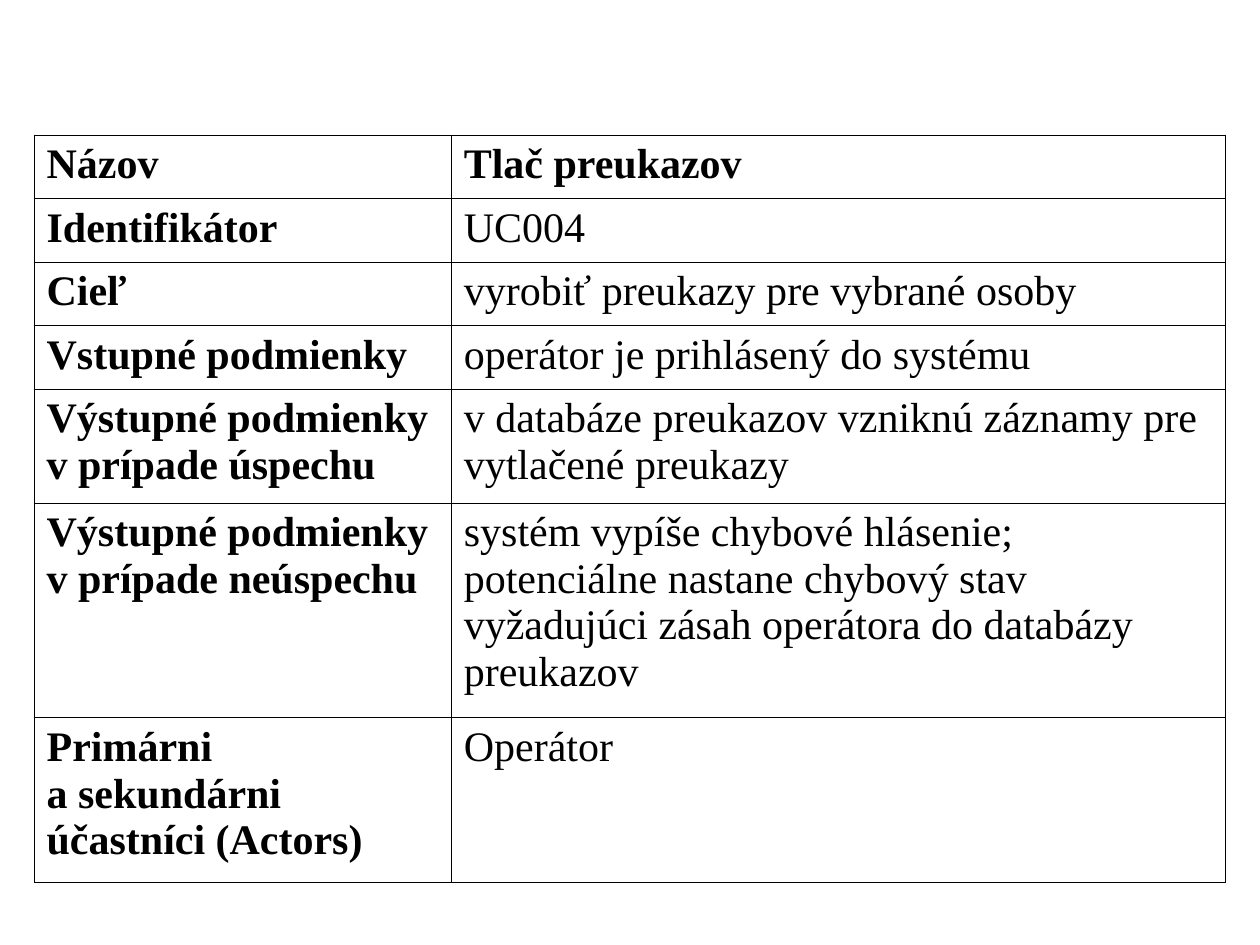
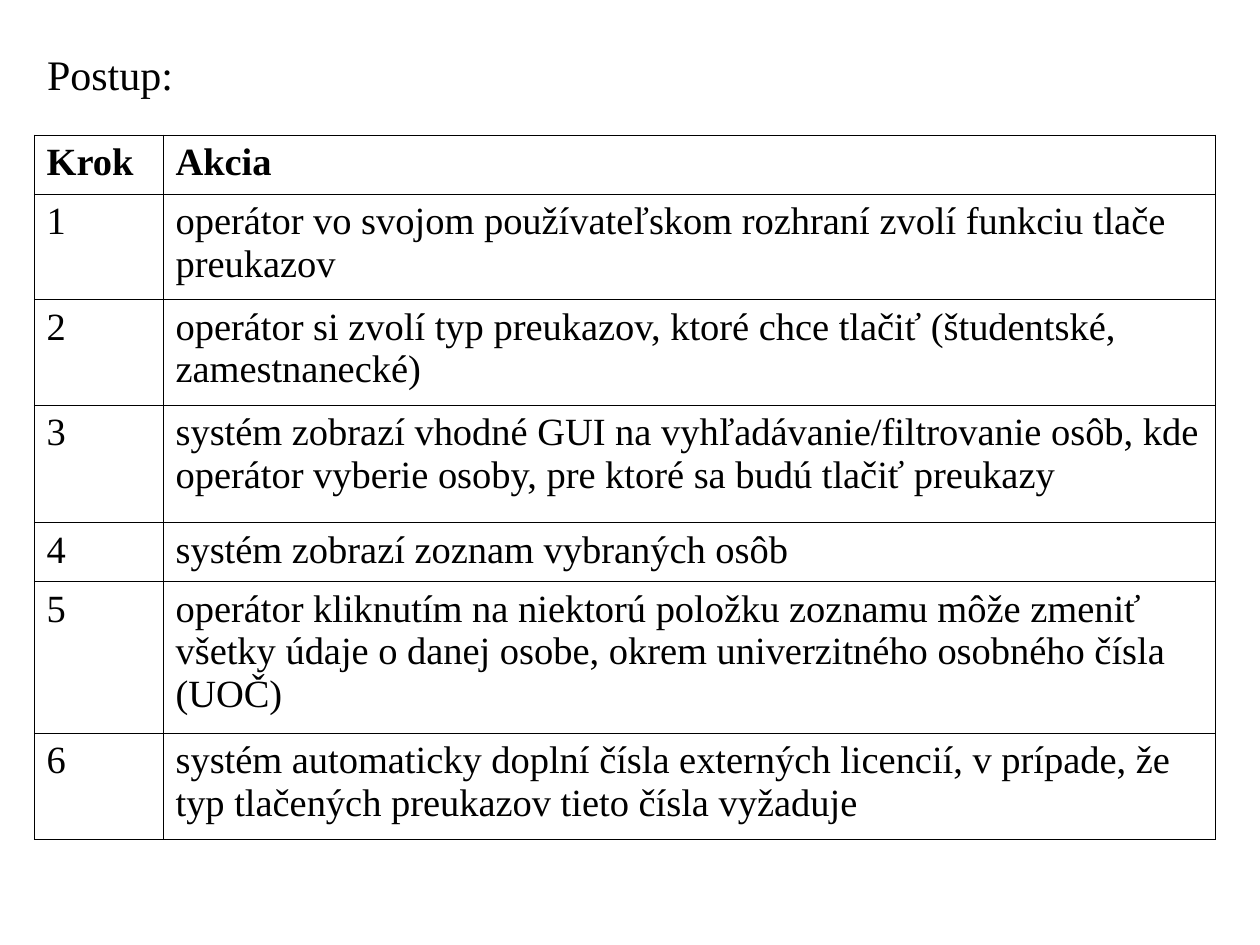
from dataclasses import dataclass

from lxml import etree
from pptx import Presentation
from pptx.dml.color import RGBColor
from pptx.enum.text import MSO_ANCHOR, MSO_AUTO_SIZE
from pptx.oxml.ns import qn
from pptx.slide import Slide
from pptx.table import _Cell
from pptx.text.text import TextFrame
from pptx.util import Cm, Length, Pt

TOP = MSO_ANCHOR.TOP
FIT_SHAPE = MSO_AUTO_SIZE.SHAPE_TO_FIT_TEXT
BLANK_LAYOUT = 6
EDGES = ("L", "R", "T", "B")


@dataclass(frozen=True)
class Theme:
    """Colours, type, lines and places shared by both slides."""

    ink: str = "000000"
    font: str = "Times New Roman"
    large: Length = Pt(24)
    small: Length = Pt(22)
    border: Length = Pt(0.45)
    table_left: Length = Cm(0.69)
    table_top: Length = Cm(2.72)
    inset_x: Length = Cm(0.25)
    inset_y: Length = Cm(0.13)


@dataclass(frozen=True)
class Grid:
    """A two-column table with a bold first row; sizes are in centimetres."""

    widths: tuple[float, ...]
    heights: tuple[float, ...]
    rows: tuple[tuple[str, str], ...]
    size: Length
    bold_labels: bool


THEME = Theme()

USE_CASE = Grid(
    widths=(8.41, 15.6),
    heights=(1.28, 1.28, 1.28, 1.28, 2.3, 4.33, 3.31),
    rows=(
        ("Názov", "Tlač preukazov"),
        ("Identifikátor", "UC004"),
        ("Cieľ", "vyrobiť preukazy pre vybrané osoby"),
        ("Vstupné podmienky", "operátor je prihlásený do systému"),
        ("Výstupné podmienky\nv prípade úspechu",
         "v databáze preukazov vzniknú záznamy pre vytlačené preukazy"),
        ("Výstupné podmienky\nv prípade neúspechu",
         "systém vypíše chybové hlásenie;\npotenciálne nastane chybový stav "
         "vyžadujúci zásah operátora do databázy preukazov"),
        ("Primárni\na sekundárni\núčastníci (Actors)", "Operátor"),
    ),
    size=THEME.large,
    bold_labels=True,
)

STEPS = (
    "operátor vo svojom používateľskom rozhraní zvolí funkciu tlače preukazov",
    "operátor si zvolí typ preukazov, ktoré chce tlačiť (študentské, zamestnanecké)",
    "systém zobrazí vhodné GUI na vyhľadávanie/filtrovanie osôb, "
    "kde operátor vyberie osoby, pre ktoré sa budú tlačiť preukazy",
    "systém zobrazí zoznam vybraných osôb",
    "operátor kliknutím na niektorú položku zoznamu môže zmeniť "
    "všetky údaje o danej osobe, okrem univerzitného osobného čísla (UOČ)",
    "systém automaticky doplní čísla externých licencií, v prípade, "
    "že typ tlačených preukazov tieto čísla vyžaduje",
)

PROCEDURE = Grid(
    widths=(2.6, 21.2),
    heights=(1.19, 2.13, 2.13, 2.36, 1.19, 3.06, 2.15),
    rows=(("Krok", "Akcia"),
          *((str(number), step) for number, step in enumerate(STEPS, 1))),
    size=THEME.small,
    bold_labels=False,
)


def write_text(frame: TextFrame, text: str, size: Length, bold: bool = False) -> None:
    """Fill a frame with one paragraph per line of text."""
    frame.text = text
    for para in frame.paragraphs:
        para.font.name = THEME.font
        para.font.size = size
        para.font.bold = bold
        para.font.color.rgb = RGBColor.from_string(THEME.ink)


def draw_borders(cell: _Cell) -> None:
    """Outline a cell on all four edges."""
    properties = cell._tc.get_or_add_tcPr()
    for edge in EDGES:
        line = etree.SubElement(properties, qn(f"a:ln{edge}"), w=str(int(THEME.border)))
        fill = etree.SubElement(line, qn("a:solidFill"))
        etree.SubElement(fill, qn("a:srgbClr"), val=THEME.ink)


def draw_grid(page: Slide, grid: Grid) -> None:
    """Draw a bordered, unfilled table."""
    table = page.shapes.add_table(
        len(grid.rows), len(grid.widths), THEME.table_left, THEME.table_top,
        Cm(sum(grid.widths)), Cm(sum(grid.heights)),
    ).table
    table.first_row = False
    table.horz_banding = False
    for column, width in zip(table.columns, grid.widths):
        column.width = Cm(width)
    for row, height in zip(table.rows, grid.heights):
        row.height = Cm(height)
    for row_index, texts in enumerate(grid.rows):
        for column_index, text in enumerate(texts):
            cell = table.cell(row_index, column_index)
            draw_borders(cell)
            cell.fill.background()
            cell.vertical_anchor = TOP
            cell.margin_left = cell.margin_right = THEME.inset_x
            cell.margin_top = cell.margin_bottom = THEME.inset_y
            bold = row_index == 0 or (grid.bold_labels and column_index == 0)
            write_text(cell.text_frame, text, grid.size, bold)


def draw_heading(page: Slide, text: str) -> None:
    """Write the line above a table."""
    box = page.shapes.add_textbox(Cm(0.7), Cm(0.85), Cm(3.05), Cm(1.27))
    frame = box.text_frame
    frame.word_wrap = False
    frame.auto_size = FIT_SHAPE
    frame.margin_left = frame.margin_right = THEME.inset_x
    frame.margin_top = frame.margin_bottom = THEME.inset_y
    write_text(frame, text, THEME.large)


def main() -> None:
    """Build and save the deck."""
    deck = Presentation()
    deck.slide_width, deck.slide_height = Cm(25.4), Cm(19.05)
    blank = deck.slide_layouts[BLANK_LAYOUT]
    draw_grid(deck.slides.add_slide(blank), USE_CASE)
    procedure_page = deck.slides.add_slide(blank)
    draw_grid(procedure_page, PROCEDURE)
    draw_heading(procedure_page, "Postup:")
    deck.save("out.pptx")


if __name__ == "__main__":
    main()
